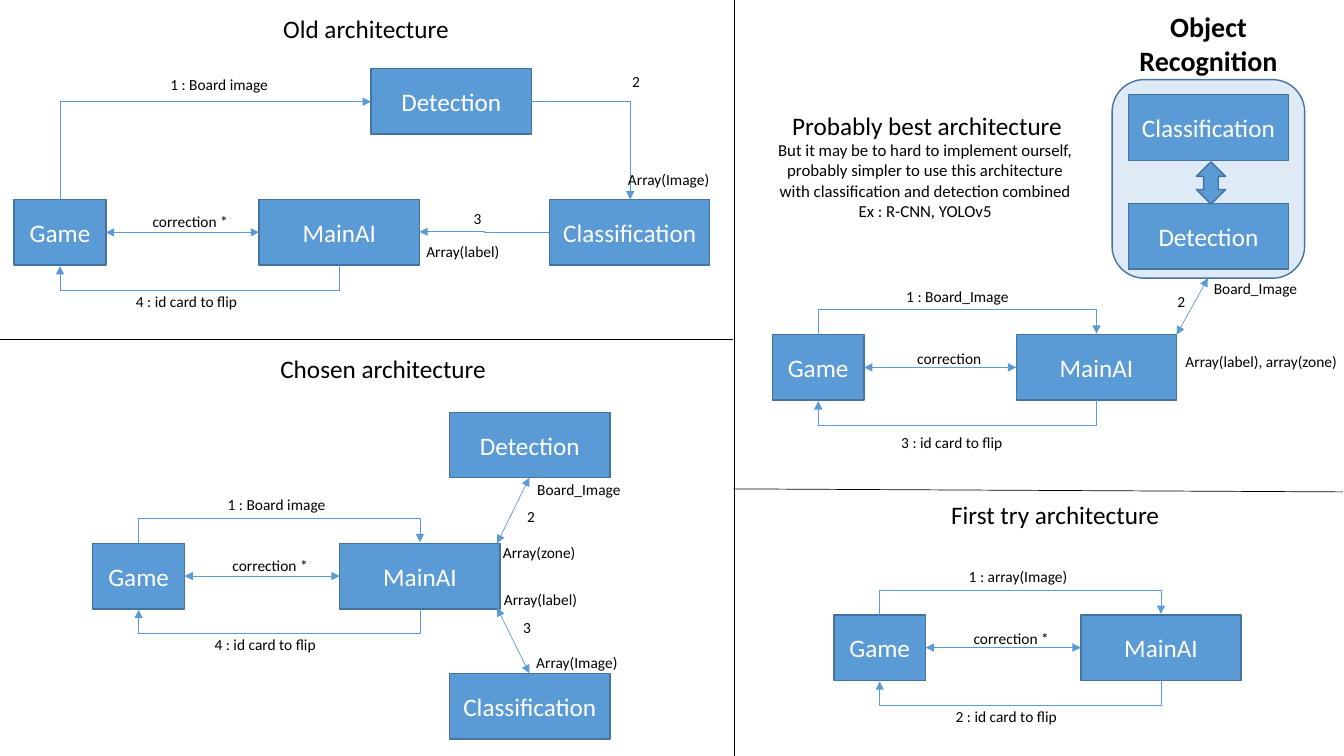
from lxml import etree
from pptx import Presentation
from pptx.dml.color import RGBColor
from pptx.enum.shapes import MSO_CONNECTOR, MSO_SHAPE
from pptx.enum.text import MSO_ANCHOR, MSO_AUTO_SIZE, PP_ALIGN
from pptx.oxml.ns import qn
from pptx.util import Inches, Pt

RECTANGLE = MSO_SHAPE.RECTANGLE
ROUNDED = MSO_SHAPE.ROUNDED_RECTANGLE
DOUBLE_ARROW = MSO_SHAPE.LEFT_RIGHT_ARROW
STRAIGHT, ELBOW = MSO_CONNECTOR.STRAIGHT, MSO_CONNECTOR.ELBOW
LEFT, CENTER = PP_ALIGN.LEFT, PP_ALIGN.CENTER
MIDDLE = MSO_ANCHOR.MIDDLE
FIT_SHAPE = MSO_AUTO_SIZE.SHAPE_TO_FIT_TEXT

COLORS = {"box": "5B9BD5", "edge": "43739E", "group": "DEEBF7",
          "white": "FFFFFF", "black": "000000"}
FONT = "Calibri"

# The slide is a grid of one-inch columns and rows
COLUMNS, ROWS = 13.33, 7.5
BOX_HEIGHT, GAME_WIDTH, BOX_WIDTH = 0.65, 0.91, 1.59
LABEL_HEIGHT, TITLE_HEIGHT = 0.29, 0.4
LOOP_DEPTH, LOOP_STEP = 0.25, 0.01


def color(name):
    return RGBColor.from_string(COLORS[name])


def grid(*lengths):
    return [Inches(length) for length in lengths]


def add_run(paragraph, text, size, shade="black", bold=False):
    run = paragraph.add_run()
    run.text = text
    run.font.name, run.font.size, run.font.bold = FONT, Pt(size), bold
    run.font.color.rgb = color(shade)


def add_block(slide, kind, left, top, width, height, fill="box"):
    shape = slide.shapes.add_shape(kind, *grid(left, top, width, height))
    shape.shadow.inherit = False
    shape.fill.solid()
    shape.fill.fore_color.rgb = color(fill)
    shape.line.color.rgb = color("edge")
    shape.line.width = Pt(1)
    return shape


def add_box(slide, name, left, top, width=BOX_WIDTH):
    shape = add_block(slide, RECTANGLE, left, top, width, BOX_HEIGHT)
    shape.text_frame.word_wrap = True
    shape.text_frame.vertical_anchor = MIDDLE
    paragraph = shape.text_frame.paragraphs[0]
    paragraph.alignment = CENTER
    add_run(paragraph, name, 18, "white")


def add_text(slide, lines, left, top, width, height, align=LEFT, wrap=False, bold=False):
    """Each line is a (text, size) pair and becomes one paragraph."""
    frame = slide.shapes.add_textbox(*grid(left, top, width, height)).text_frame
    frame.word_wrap = wrap
    frame.auto_size = FIT_SHAPE
    for index, (text, size) in enumerate(lines):
        paragraph = frame.add_paragraph() if index else frame.paragraphs[0]
        paragraph.alignment = align
        add_run(paragraph, text, size, bold=bold)


def add_label(slide, text, left, top, width=0.28, align=LEFT):
    add_text(slide, [(text, 11)], left, top, width, LABEL_HEIGHT, align)


def add_title(slide, text, left, top, width):
    add_text(slide, [(text, 18)], left, top, width, TITLE_HEIGHT, CENTER)


def add_line(slide, begin, end, kind=STRAIGHT, shade="box", heads=()):
    connector = slide.shapes.add_connector(kind, *grid(*begin, *end))
    connector.line.color.rgb = color(shade)
    connector.line.width = Pt(0.5)
    properties = connector._element.spPr
    line = properties.find(qn("a:ln"))
    for head in heads:
        etree.SubElement(line, qn("a:" + head), type="triangle")
    etree.SubElement(properties, qn("a:effectLst"))
    return connector


def add_double_arrow(slide, begin, end):
    add_line(slide, begin, end, heads=("headEnd", "tailEnd"))


def add_elbow(slide, begin, end, vertical=False, corner=False, bend=None):
    """Arrow with right angles; vertical ones are turned by 90 degrees."""
    (x1, y1), (x2, y2) = begin, end
    if vertical:
        middle_x, middle_y = (x1 + x2) / 2, (y1 + y2) / 2
        half_x, half_y = (y2 - y1) / 2, (x1 - x2) / 2
        begin = middle_x - half_x, middle_y - half_y
        end = middle_x + half_x, middle_y + half_y
    connector = add_line(slide, begin, end, ELBOW, heads=("tailEnd",))
    properties = connector._element.spPr
    geometry = properties.find(qn("a:prstGeom"))
    if vertical:
        properties.find(qn("a:xfrm")).set("rot", str(90 * 60000))
    if corner:
        geometry.set("prst", "bentConnector2")
    if bend is not None:
        guides = geometry.find(qn("a:avLst"))
        etree.SubElement(guides, qn("a:gd"), name="adj1",
                         fmla=f"val {round(bend * 100000)}")


def add_loop(slide, start_x, end_x, y, direction):
    """U-shaped arrow; direction is -1 above the boxes and 1 below."""
    add_elbow(slide, (start_x, y), (end_x, y + direction * LOOP_STEP),
              vertical=True, bend=LOOP_DEPTH / LOOP_STEP)


def add_game_and_main(slide, game_left, main_left, top, request=True):
    game_x, main_x = game_left + GAME_WIDTH / 2, main_left + BOX_WIDTH / 2
    middle, bottom = top + BOX_HEIGHT / 2, top + BOX_HEIGHT
    add_box(slide, "Game", game_left, top, GAME_WIDTH)
    add_box(slide, "MainAI", main_left, top)
    add_double_arrow(slide, (game_left + GAME_WIDTH, middle), (main_left, middle))
    add_loop(slide, main_x, game_x, bottom, 1)
    if request:
        add_loop(slide, game_x, main_x, top, -1)


def draw_old(slide):
    add_title(slide, "Old architecture", 2.7, 0.08, 1.86)
    add_game_and_main(slide, 0.14, 2.57, 1.98, request=False)
    add_box(slide, "Detection", 3.68, 0.68)
    add_box(slide, "Classification", 5.45, 1.98)
    add_elbow(slide, (0.6, 1.98), (3.68, 1.01), vertical=True, corner=True)
    add_elbow(slide, (5.27, 1.01), (6.25, 1.98), corner=True)
    add_elbow(slide, (5.45, 2.31), (4.16, 2.3))
    add_label(slide, "1 : Board image", 1.59, 0.7, 1.18)
    add_label(slide, "2", 6.17, 0.67)
    add_label(slide, "3", 4.6, 2.03)
    add_label(slide, "4 : id card to flip", 1.25, 2.85, 1.22)
    add_label(slide, "correction * ", 1.41, 2.06, 0.99, CENTER)
    add_label(slide, "Array(Image)", 6.13, 1.64, 1.02)
    add_label(slide, "Array(label)", 4.13, 2.35, 0.94)


def draw_chosen(slide):
    add_title(slide, "Chosen architecture", 2.67, 3.46, 2.26)
    add_game_and_main(slide, 0.92, 3.37, 5.39)
    add_box(slide, "Detection", 4.46, 4.09)
    add_box(slide, "Classification", 4.46, 6.68)
    add_double_arrow(slide, (4.93, 5.39), (5.25, 4.74))
    add_double_arrow(slide, (4.93, 6.03), (5.25, 6.68))
    add_label(slide, "1 : Board image", 2.16, 4.86, 1.18)
    add_label(slide, "2", 5.13, 4.98)
    add_label(slide, "3", 5.09, 6.08)
    add_label(slide, "4 : id card to flip", 2.03, 6.25, 1.22)
    add_label(slide, "correction *", 2.2, 5.47, 0.96, CENTER)
    add_label(slide, "Board_Image", 5.23, 4.71, 1.04)
    add_label(slide, "Array(zone)", 4.89, 5.34, 0.94)
    add_label(slide, "Array(label)", 4.9, 5.81, 0.94)
    add_label(slide, "Array(Image)", 5.22, 6.43, 1.02)


def draw_best(slide):
    # Object recognition group
    add_block(slide, ROUNDED, 11.03, 0.79, 1.91, 1.97, "group")
    add_box(slide, "Classification", 11.19, 0.94)
    add_box(slide, "Detection", 11.19, 2.02)
    add_block(slide, DOUBLE_ARROW, 11.8, 1.67, 0.42, 0.29).rotation = 90
    add_text(slide, [("Object Recognition", 20)], 11.14, 0.05, 1.69, 0.77,
             CENTER, wrap=True, bold=True)
    # Explanation
    add_text(slide, [("Probably best architecture", 18),
                     ("But it may be to hard to implement ourself, ", 12),
                     ("probably simpler to use this architecture ", 12),
                     ("with classification and detection combined ", 12),
                     ("Ex : R-CNN, YOLOv5 ", 12)], 7.6, 1.04, 3.19, 1.21, CENTER)
    # Flow
    add_game_and_main(slide, 7.66, 10.08, 3.32)
    add_double_arrow(slide, (11.67, 3.32), (11.98, 2.76))
    add_label(slide, "1 : Board_Image", 8.89, 2.8, 1.23)
    add_label(slide, "2", 11.58, 2.85)
    add_label(slide, "3 : id card to flip", 8.84, 4.25, 1.22)
    add_label(slide, "correction", 8.99, 3.41, 0.85, CENTER)
    add_label(slide, "Board_Image", 11.94, 2.72, 1.04)
    add_label(slide, "Array(label), array(zone) ", 11.66, 3.44, 1.77)


def draw_first_try(slide):
    add_title(slide, "First try architecture", 9.32, 4.9, 2.29)
    add_game_and_main(slide, 8.27, 10.72, 6.1)
    add_label(slide, "1 : array(Image)", 9.51, 5.58, 1.2)
    add_label(slide, "2 : id card to flip", 9.38, 6.97, 1.22)
    add_label(slide, "correction *", 9.55, 6.19, 0.96, CENTER)


def main():
    presentation = Presentation()
    presentation.slide_width, presentation.slide_height = grid(COLUMNS, ROWS)
    slide = presentation.slides.add_slide(presentation.slide_layouts[6])
    for draw in (draw_old, draw_chosen, draw_best, draw_first_try):
        draw(slide)
    # Dividers between the four architectures
    for begin, end in (((7.28, 0), (7.28, ROWS)), ((7.27, 3.37), (0, 3.37)),
                       ((13.32, 4.88), (7.27, 4.85))):
        add_line(slide, begin, end, shade="black")
    presentation.save("out.pptx")


main()
